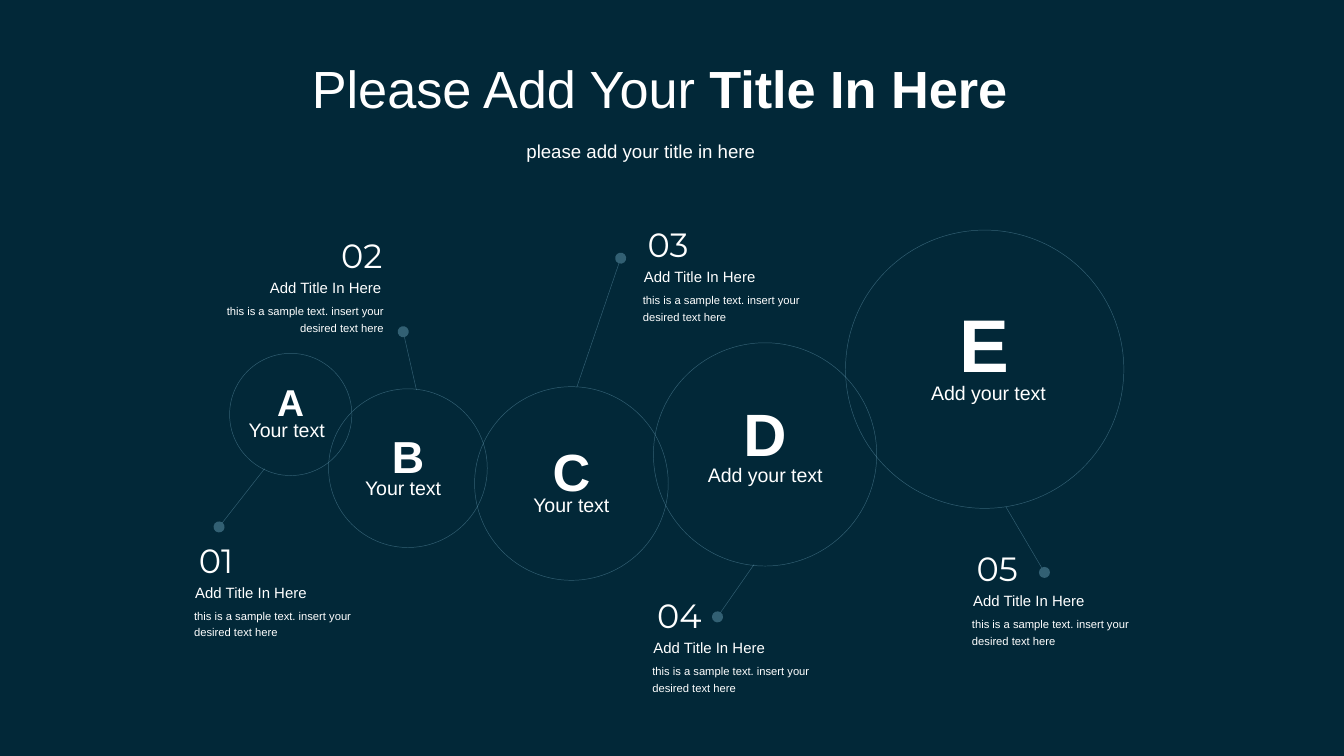
from lxml.etree import SubElement
from pptx import Presentation
from pptx.dml.color import RGBColor
from pptx.enum.shapes import MSO_CONNECTOR, MSO_SHAPE
from pptx.enum.text import MSO_ANCHOR, MSO_AUTO_SIZE, PP_ALIGN
from pptx.oxml.ns import qn
from pptx.util import Cm, Pt

COLORS = {"back": "022838", "text": "FFFFFF", "line": "A4E2FE"}
BODY = "this is a sample text. insert your desired text here"

CIRCLES = [
    ("A", 20, (4.34, 6.68, 2.31), 7.04, "Your text", (4.45, 7.9, 2.08)),
    ("B", 24, (6.21, 7.35, 3), 7.98, "Your text", (6.65, 8.99, 2.08)),
    ("C", 28, (8.97, 7.31, 3.66), 8.18, "Your text", (9.83, 9.32, 2.1)),
    ("D", 32, (12.35, 6.48, 4.22), 7.37, "Add your text", (13.13, 8.76, 2.74)),
    ("E", 40, (15.98, 4.35, 5.26), 5.51, "Add your text", (17.35, 7.21, 2.95)),
]
NOTES = [
    ("01", (3.51, 10.08), (5, 8.86, 4.14, 9.96), False),
    ("02", (6.2, 4.32), (7.87, 7.37, 7.62, 6.27), True),
    ("03", (11.99, 4.11), (10.9, 7.32, 11.73, 4.88), False),
    ("04", (12.17, 11.13), (14.25, 10.67, 13.56, 11.66), False),
    ("05", (18.21, 10.24), (19.01, 9.58, 19.74, 10.82), False),
]


def color(name):
    return RGBColor.from_string(COLORS[name])


def style(shape, size, font="Arial", bold=False, align=PP_ALIGN.LEFT, wrap=False, space=None):
    frame = shape.text_frame
    frame.word_wrap = wrap
    frame.auto_size = MSO_AUTO_SIZE.SHAPE_TO_FIT_TEXT
    frame.vertical_anchor = MSO_ANCHOR.TOP
    para = frame.paragraphs[0]
    para.alignment = align
    if space:
        para.line_spacing = Pt(space)
    para.font.name = font
    para.font.size = Pt(size)
    para.font.bold = bold
    para.font.color.rgb = color("text")


def add_text(slide, text, box, size, **opts):
    shape = slide.shapes.add_textbox(*map(Cm, box))
    shape.text_frame.text = text
    style(shape, size, **opts)


def thin_line(shape):
    line = shape.line
    line.width = Pt(0.25)
    line.color.rgb = color("line")
    tint = line._get_or_add_ln().find(".//" + qn("a:srgbClr"))
    SubElement(tint, qn("a:alpha"), val="30000")


def add_title(slide):
    title = slide.shapes.title
    title.left, title.top, title.width, title.height = map(Cm, (5.64, 0.94, 13.82, 1.45))
    para = title.text_frame.paragraphs[0]
    para.add_run().text = "Please Add Your "
    run = para.add_run()
    run.text = "Title In Here"
    run.font.bold = True
    style(title, 28)


def add_circle(slide, letter, size, ring, top, label, spot):
    left, high, width = ring
    shape = slide.shapes.add_shape(MSO_SHAPE.OVAL, *map(Cm, (left, high, width, width)))
    shape.shadow.inherit = False
    shape.fill.background()
    thin_line(shape)
    box = (left + width / 2 - 0.75, top, 1.5, 0.5 + size * 0.04)
    add_text(slide, letter, box, size, bold=True, align=PP_ALIGN.CENTER)
    add_text(slide, label, (*spot, 0.58), 10.5, wrap=True, space=9)


def add_pin(slide, ends):
    pin = slide.shapes.add_connector(MSO_CONNECTOR.STRAIGHT, *map(Cm, ends))
    thin_line(pin)
    SubElement(pin.line._get_or_add_ln(), qn("a:tailEnd"), type="oval")
    SubElement(pin._element.spPr, qn("a:effectLst"))


def add_note(slide, number, spot, ends, right):
    left, top = spot
    head, body = (1.35, 2.84) if right else (0.07, 0.09)
    align = PP_ALIGN.RIGHT if right else PP_ALIGN.LEFT
    add_pin(slide, ends)
    add_text(slide, number, (left, top, 1.37, 1.02), 18, font="Montserrat")
    add_text(slide, "Add Title In Here", (left - head, top + 0.82, 2.67, 0.6), 8)
    add_text(slide, BODY, (left - body, top + 1.24, 4.14, 0.89), 6, align=align, wrap=True, space=9)


def main():
    deck = Presentation()
    deck.slide_width, deck.slide_height = Cm(25.4), Cm(14.29)
    slide = deck.slides.add_slide(deck.slide_layouts[5])
    fill = slide.background.fill
    fill.solid()
    fill.fore_color.rgb = color("back")
    for note in NOTES:
        add_note(slide, *note)
    for circle in CIRCLES:
        add_circle(slide, *circle)
    add_title(slide)
    add_text(slide, "please add your title in here", (9.7, 2.51, 4.85, 0.69), 10)
    deck.save("out.pptx")


if __name__ == "__main__":
    main()
